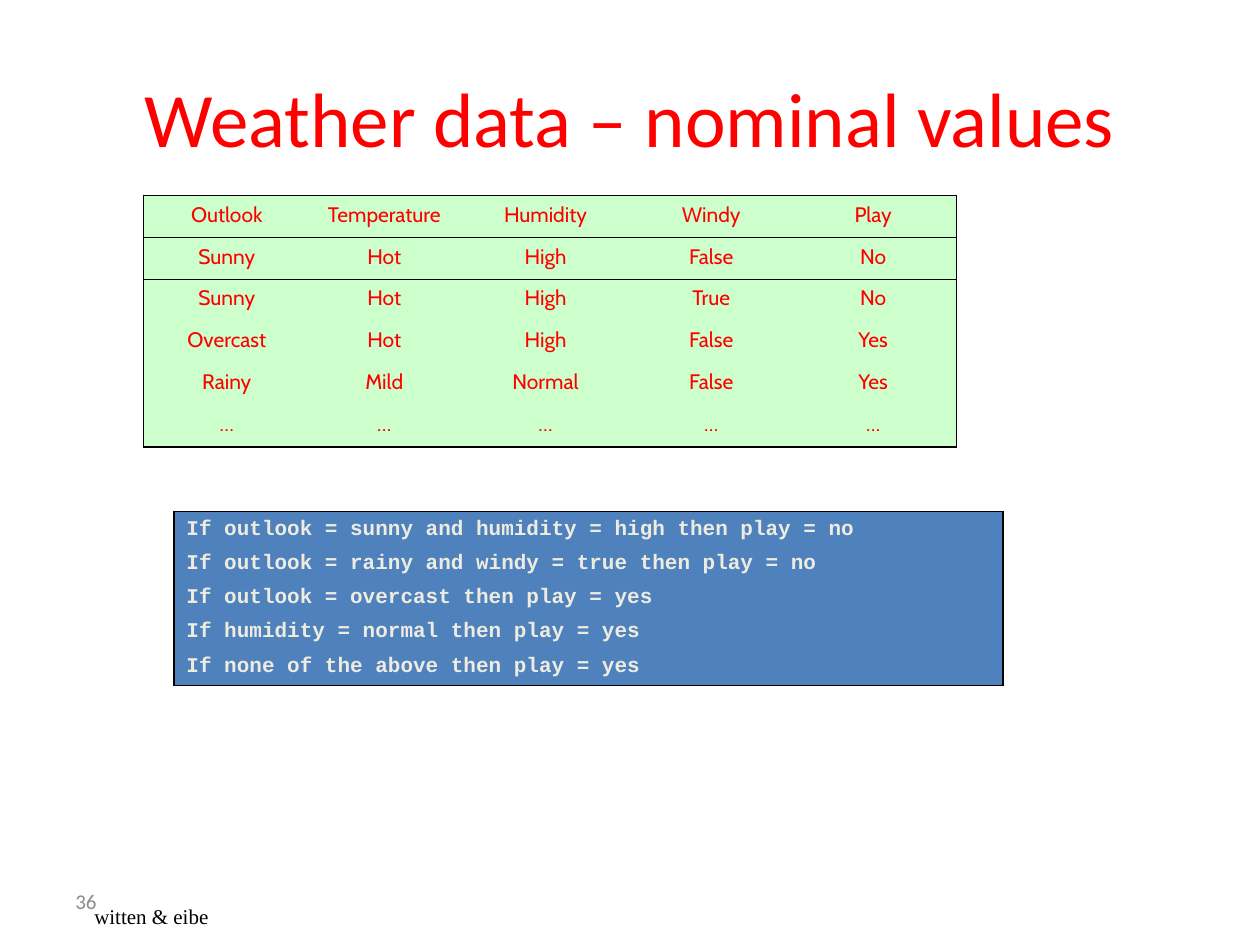
"""Build the slide on weather data with nominal values."""
from dataclasses import dataclass

from lxml import etree
from pptx import Presentation
from pptx.dml.color import RGBColor
from pptx.enum.text import MSO_ANCHOR, PP_ALIGN
from pptx.oxml.ns import qn
from pptx.util import Inches, Pt

RED = RGBColor(0xFF, 0x00, 0x00)
BLACK = RGBColor(0x00, 0x00, 0x00)
GREY = RGBColor(0x8C, 0x8C, 0x8C)
CREAM = RGBColor(0xEE, 0xEC, 0xE1)
MINT = RGBColor(0xCC, 0xFF, 0xCC)
BLUE = RGBColor(0x4F, 0x81, 0xBD)
LEFT, CENTER = PP_ALIGN.LEFT, PP_ALIGN.CENTER
TOP, MIDDLE = MSO_ANCHOR.TOP, MSO_ANCHOR.MIDDLE
WIDTH, HEIGHT = Inches(10), Inches(7.5)
TITLE_ONLY = 5
NO_STYLE = "{2D5ABB26-0587-4C30-8999-92F81FD0307C}"

WEATHER = [
    ["Outlook", "Temperature", "Humidity", "Windy", "Play"],
    ["Sunny", "Hot", "High", "False", "No"],
    ["Sunny", "Hot", "High", "True", "No"],
    ["Overcast", "Hot", "High", "False", "Yes"],
    ["Rainy", "Mild", "Normal", "False", "Yes"],
    ["…"] * 5,
]
RULES = """If outlook = sunny and humidity = high then play = no
If outlook = rainy and windy = true then play = no
If outlook = overcast then play = yes
If humidity = normal then play = yes
If none of the above then play = yes"""


@dataclass(frozen=True)
class Box:
    """A rectangle in percent of the slide's width and height."""
    x: float
    y: float
    w: float
    h: float

    def emu(self) -> list[int]:
        """Return left, top, width and height as lengths."""
        return [int(share * size / 100) for share, size in
                zip((self.x, self.y, self.w, self.h), (WIDTH, HEIGHT) * 2)]


@dataclass(frozen=True)
class Style:
    """The look of a block of text."""
    font: str
    color: RGBColor
    size: float = 12
    bold: bool = False
    align: PP_ALIGN = LEFT


@dataclass(frozen=True)
class Grid:
    """A table with its column widths in percent of the slide's width."""
    box: Box
    columns: list[float]
    rows: list[list[str]]
    fill: RGBColor
    style: Style


@dataclass(frozen=True)
class Label:
    """A line of text standing on its own."""
    box: Box
    text: str
    style: Style
    anchor: MSO_ANCHOR = TOP
    wrap: bool = True


GRIDS = [
    Grid(Box(11.4, 20.67, 64.5, 26.67), [13.2, 11.8, 13.8, 12.5, 13.2],
         WEATHER, MINT, Style("Cabin", RED, align=CENTER)),
    Grid(Box(13.8, 54.13, 65.8, 18.4), [65.8], [[RULES]], BLUE,
         Style("Courier New", CREAM, bold=True)),
]
LABELS = [
    Label(Box(5, 92.67, 23.3, 5.33), "36", Style("Calibri", GREY), MIDDLE),
    Label(Box(6.5, 94.93, 11.1, 4), "witten & eibe",
          Style("Times New Roman", BLACK), wrap=False),
]


def write(tf, text: str, style: Style) -> None:
    """Fill a text frame, one paragraph a line."""
    tf.text = text
    for i, p in enumerate(tf.paragraphs):
        p.alignment = style.align
        if i:
            p.space_before = Pt(style.size / 2)
        p.font.name, p.font.size = style.font, Pt(style.size)
        p.font.bold, p.font.color.rgb = style.bold, style.color


def draw_borders(cell, sides: list[str]) -> None:
    """Rule the given sides of a cell in black."""
    tc_pr = cell._tc.get_or_add_tcPr()
    for i, side in enumerate(sides):
        ln = etree.Element(qn(f"a:ln{side}"), w=str(Pt(1)))
        fill = etree.SubElement(ln, qn("a:solidFill"))
        etree.SubElement(fill, qn("a:srgbClr"), val=str(BLACK))
        tc_pr.insert(i, ln)


def draw_grid(s, grid: Grid) -> None:
    """Draw a table with an outer frame and a rule under its first row."""
    n_rows, n_cols = len(grid.rows), len(grid.columns)
    table = s.shapes.add_table(n_rows, n_cols, *grid.box.emu()).table
    table.first_row = table.horz_banding = False
    table._tbl.tblPr.find(qn("a:tableStyleId")).text = NO_STYLE
    for column, share in zip(table.columns, grid.columns):
        column.width = int(WIDTH * share / 100)
    for r, row in enumerate(grid.rows):
        for c, text in enumerate(row):
            cell = table.cell(r, c)
            cell.fill.solid()
            cell.fill.fore_color.rgb = grid.fill
            write(cell.text_frame, text, grid.style)
            edges = {"L": c == 0, "R": c == n_cols - 1,
                     "T": r <= 1, "B": r in (0, n_rows - 1)}
            draw_borders(cell, [side for side, on in edges.items() if on])


def draw_label(s, label: Label) -> None:
    """Draw a text box."""
    tf = s.shapes.add_textbox(*label.box.emu()).text_frame
    tf.word_wrap, tf.vertical_anchor = label.wrap, label.anchor
    write(tf, label.text, label.style)


def draw_title(s, text: str) -> None:
    """Place and fill the title placeholder."""
    sp = s.shapes.title
    sp.left, sp.top, sp.width, sp.height = Box(5, 4, 90, 16.67).emu()
    sp.text_frame.vertical_anchor = MIDDLE
    write(sp.text_frame, text, Style("Calibri", RED, 44, align=CENTER))


def main() -> None:
    """Build and save the slide."""
    prs = Presentation()
    prs.slide_width, prs.slide_height = WIDTH, HEIGHT
    s = prs.slides.add_slide(prs.slide_layouts[TITLE_ONLY])
    draw_title(s, "Weather data – nominal values")
    for grid in GRIDS:
        draw_grid(s, grid)
    for label in LABELS:
        draw_label(s, label)
    prs.save("out.pptx")


if __name__ == "__main__":
    main()
